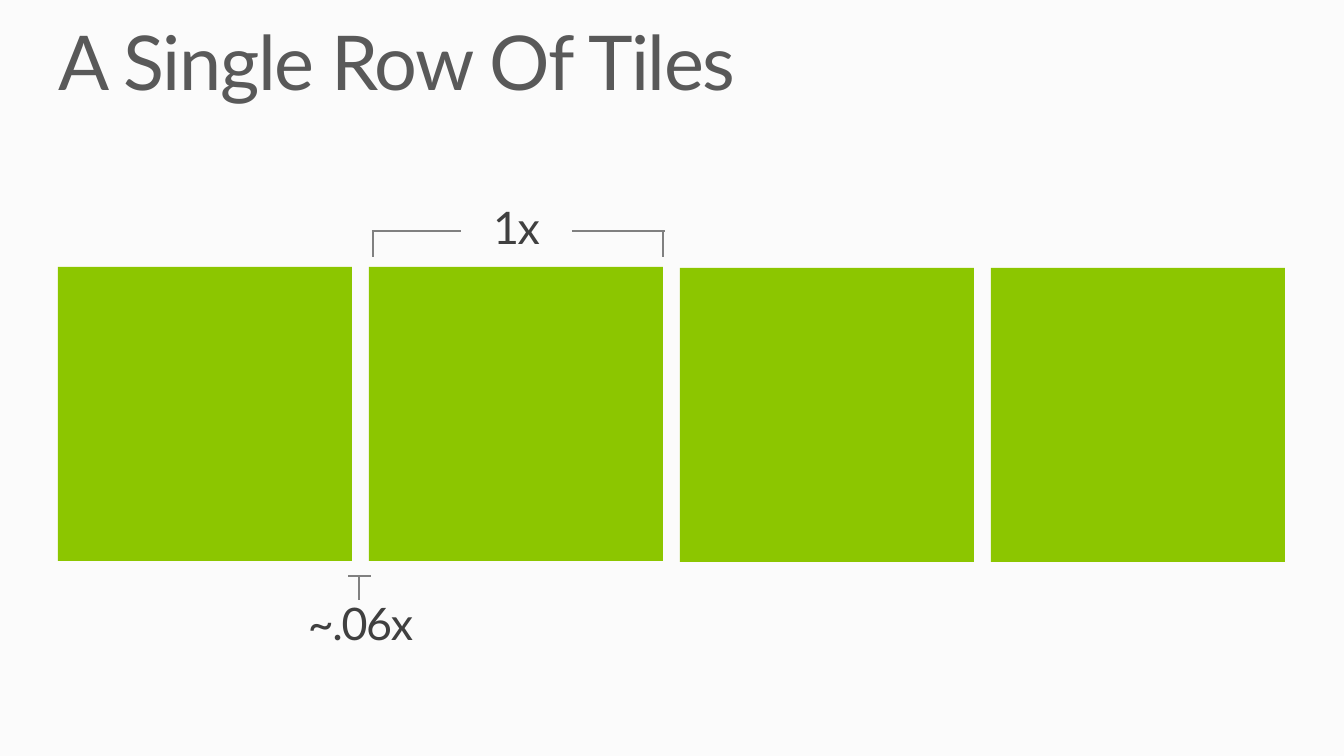
"""Builds a slide that shows the proportions of a single row of tiles."""
from dataclasses import dataclass

from lxml.etree import SubElement
from pptx import Presentation
from pptx.dml.color import RGBColor
from pptx.enum.shapes import MSO_CONNECTOR, MSO_SHAPE
from pptx.enum.text import MSO_AUTO_SIZE, PP_ALIGN
from pptx.oxml.ns import qn
from pptx.util import Pt

TITLE = ("A Single Row Of Tiles", (58, 25, 1229, 83))
TILE_TOPS = (267, 267, 268, 268)
TILE_LEFT, TILE_SIZE, TILE_GAP = 58, 294, 17
GAP_LABEL = ("~.06x", (288, 602, 145, 50))
GAP_LINES = [(359, 577, 359, 600), (371, 576, 348, 576)]
WIDTH_LABEL = ("1x", (470, 206, 93, 50))
WIDTH_LINES = [
    (372, 231, 461, 231),
    (663, 257, 663, 231),
    (373, 257, 373, 231),
    (572, 231, 665, 231),
]


@dataclass(frozen=True)
class Theme:
    background: str = "FBFBFB"
    title: str = "595959"
    label: str = "404040"
    tile: str = "8CC600"
    measure: str = "808080"
    font: str = "Lato"
    title_size: int = 54
    label_size: int = 32
    measure_width: float = 1.5
    tracking: str = "-100"
    line_spacing: float = 0.9


THEME = Theme()


def px(length):
    return round(length * 914400 / 100.8)


def paint(fill, color):
    fill.solid()
    fill.fore_color.rgb = RGBColor.from_string(color)


def add_text(shapes, content, size, color, align):
    wording, box = content
    frame = shapes.add_textbox(*map(px, box)).text_frame
    frame.margin_left = frame.margin_top = frame.margin_right = frame.margin_bottom = 0
    frame.word_wrap = True
    frame.auto_size = MSO_AUTO_SIZE.SHAPE_TO_FIT_TEXT
    paragraph = frame.paragraphs[0]
    paragraph.text = wording
    paragraph.alignment = align
    paragraph.line_spacing = THEME.line_spacing
    paragraph.font.name = THEME.font
    paragraph.font.size = Pt(size)
    paragraph.font.color.rgb = RGBColor.from_string(color)
    paragraph.runs[0]._r.get_or_add_rPr().set("spc", THEME.tracking)


def add_label(shapes, content):
    add_text(shapes, content, THEME.label_size, THEME.label, PP_ALIGN.CENTER)


def add_measure(shapes, lines):
    group = shapes.add_group_shape()
    for ends in lines:
        measure = group.shapes.add_connector(MSO_CONNECTOR.STRAIGHT, *map(px, ends))
        measure.line.color.rgb = RGBColor.from_string(THEME.measure)
        measure.line.width = Pt(THEME.measure_width)
        SubElement(measure._element.spPr, qn("a:effectLst"))
    return group


def add_tile(shapes, column, top):
    left = TILE_LEFT + column * (TILE_SIZE + TILE_GAP)
    tile = shapes.add_shape(
        MSO_SHAPE.RECTANGLE, px(left), px(top), px(TILE_SIZE), px(TILE_SIZE))
    tile.shadow.inherit = False
    paint(tile.fill, THEME.tile)
    tile.line.fill.background()


def main():
    deck = Presentation()
    deck.slide_width, deck.slide_height = px(1344), px(756)
    slide = deck.slides.add_slide(deck.slide_layouts[6])
    paint(slide.background.fill, THEME.background)

    add_text(slide.shapes, TITLE, THEME.title_size, THEME.title, PP_ALIGN.LEFT)
    for column, top in enumerate(TILE_TOPS):
        add_tile(slide.shapes, column, top)
    add_measure(slide.shapes, GAP_LINES)
    add_label(slide.shapes, GAP_LABEL)
    tile_width = add_measure(slide.shapes, WIDTH_LINES)
    add_label(tile_width.shapes, WIDTH_LABEL)

    deck.save("out.pptx")


if __name__ == "__main__":
    main()
